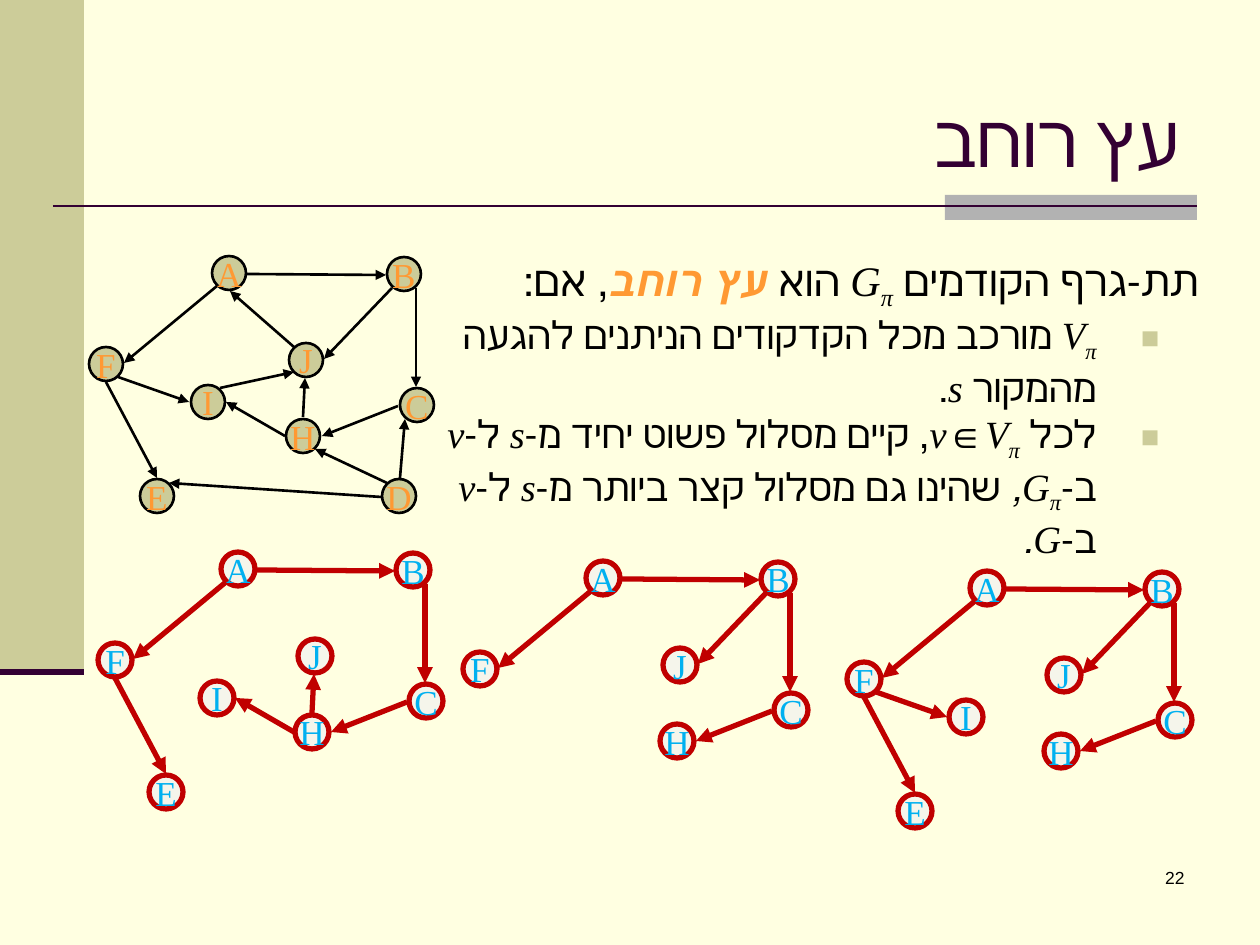
from lxml.etree import SubElement
from pptx import Presentation
from pptx.dml.color import RGBColor
from pptx.enum.shapes import MSO_CONNECTOR as Conn, MSO_SHAPE as Shape
from pptx.enum.text import MSO_ANCHOR as Anchor, MSO_AUTO_SIZE as Fit, PP_ALIGN as Align
from pptx.oxml.ns import qn
from pptx.util import Emu, Inches, Pt

SCALE = Inches(1) / 126
SERIF = "Times New Roman"
BLACK, PLUM, SAND, ORANGE = "000000", "330033", "CCCC99", "FF9933"

SIZE = 34
NODES = {
    "I": (-21, 129), "J": (77, 87), "H": (74, 163), "C": (188, 132), "F": (-123, 91),
    "A": (0, 0), "B": (175, 1), "E": (-72, 223), "D": (170, 223),
}
EDGES = {
    "AF": (5, 30, -88, 107), "AB": (35, 18, 174, 19), "BJ": (180, 32, 112, 103),
    "FE": (-106, 126, -55, 222), "FI": (-94, 121, -23, 146), "IJ": (8, 132, 82, 116),
    "HI": (73, 180, 14, 146), "CH": (186, 150, 110, 180), "DC": (188, 222, 193, 163),
    "HJ": (91, 161, 93, 122), "JA": (82, 91, 18, 35), "DE": (169, 241, -43, 227),
    "BC": (204, 32, 204, 131), "DH": (175, 227, 103, 193),
}
FULL = (SAND, BLACK, 1.5, ORANGE)
TREE = ("F5F5EB", "C00000", 3, "00B0F0")
GRAPHS = [
    (221, 552, TREE, "IJHCFABE", "AF AB FE HI HJ BC CH"),
    (586, 561, TREE, "JHCFAB", "AF AB BJ CH BC"),
    (212, 256, FULL, NODES, " ".join(EDGES)),
    (970, 571, TREE, "IJHCFABE", "AF AB BJ FE FI CH BC"),
]

INTRO = [("תת-גרף הקודמים ", ""), ("G", "i"), ("π", "is"), (" הוא ", ""),
         ("עץ רוחב", "bi"), (", אם:", "")]
POINTS = [
    [("V", "i"), ("π", "is"), (" מורכב מכל הקדקודים הניתנים להגעה מהמקור ", ""),
     ("s", "i"), (".", "")],
    [("לכל ", ""), ("v", "i"), ("∈", ""), ("V", "i"), ("π", "is"),
     (", קיים מסלול פשוט יחיד מ-", ""), ("s", "i"), (" ל-", ""), ("v", "i"),
     (" ב-", ""), ("G", "i"), ("π", "is"), (", ", "i"),
     ("שהינו גם מסלול קצר ביותר מ-", ""), ("s", "i"), (" ל-", ""), ("v", "i"),
     (" ב-", ""), ("G.", "i")],
]


def rgb(code):
    return RGBColor.from_string(code)


def px(*nums):
    return [Emu(round(n * SCALE)) for n in nums]


class Deck:
    def __init__(self):
        self.prs = Presentation()
        self.prs.slide_width, self.prs.slide_height = px(1260, 945)
        self.slide = self.prs.slides.add_slide(self.prs.slide_layouts[5])
        self.home = self.slide.shapes

    def back(self, color):
        fill = self.slide.background.fill
        fill.solid()
        fill.fore_color.rgb = rgb(color)

    def font(self, run, size, color, name=SERIF):
        run.font.size, run.font.name = Pt(size), name
        run.font.color.rgb = rgb(color)

    def right(self, para):
        para.alignment = Align.RIGHT
        props = para._p.get_or_add_pPr()
        props.set("rtl", "1")
        return props

    def title(self, text, *box):
        shape = self.home.title
        shape.left, shape.top, shape.width, shape.height = px(*box)
        frame = shape.text_frame
        frame.text = text
        frame.vertical_anchor = Anchor.MIDDLE
        self.right(frame.paragraphs[0])
        self.font(frame.paragraphs[0].runs[0], 42, PLUM)

    def shape(self, kind, box, color):
        item = self.home.add_shape(kind, *px(*box))
        item.shadow.inherit = False
        item.fill.solid()
        item.fill.fore_color.rgb = rgb(color)
        item.line.fill.background()
        return item

    def line(self, ends, color, width, arrow=False):
        item = self.home.add_connector(Conn.STRAIGHT, *px(*ends))
        item.line.color.rgb, item.line.width = rgb(color), Pt(width)
        if arrow:
            SubElement(item.line._get_or_add_ln(), qn("a:tailEnd"), type="triangle")
        SubElement(item._element.spPr, qn("a:effectLst"))

    def node(self, name, x, y, style):
        fill, edge, width, ink = style
        item = self.shape(Shape.OVAL, (x, y, SIZE, SIZE), fill)
        item.line.color.rgb, item.line.width = rgb(edge), Pt(width)
        frame = item.text_frame
        frame.margin_left = frame.margin_right = frame.margin_top = frame.margin_bottom = 0
        frame.word_wrap, frame.vertical_anchor = False, Anchor.MIDDLE
        frame.text = name
        frame.paragraphs[0].alignment = Align.CENTER
        self.font(frame.paragraphs[0].runs[0], 20, ink)

    def graph(self, x, y, style, names, pairs):
        page, self.home = self.home, self.home.add_group_shape().shapes
        for name in names:
            dx, dy = NODES[name]
            self.node(name, x + dx, y + dy, style)
        for pair in pairs.split():
            x1, y1, x2, y2 = EDGES[pair]
            self.line((x + x1, y + y1, x + x2, y + y2), style[1], style[2], True)
        self.home = page

    def number(self, text, *box):
        frame = self.home.add_textbox(*px(*box)).text_frame
        frame.word_wrap = True
        frame.text = text
        frame.paragraphs[0].alignment = Align.RIGHT
        self.font(frame.paragraphs[0].runs[0], 10, BLACK, "Arial")

    def fill(self, para, parts, size):
        for text, marks in parts:
            run = para.add_run()
            run.text = text
            self.font(run, size, ORANGE if "b" in marks else BLACK)
            run.font.bold, run.font.italic = "b" in marks, "i" in marks
            if "s" in marks:
                run.font._element.set("baseline", "-25000")

    def body(self, intro, points, *box):
        frame = self.home.add_textbox(*px(*box)).text_frame
        frame.word_wrap, frame.auto_size = True, Fit.SHAPE_TO_FIT_TEXT
        self.right(frame.paragraphs[0])
        self.fill(frame.paragraphs[0], intro, 24)
        for parts in points:
            para = frame.add_paragraph()
            para.level = 1
            props = self.right(para)
            inset, hang = px(102, -63)
            props.set("marL", str(inset))
            props.set("indent", str(hang))
            tint = SubElement(props, qn("a:buClr"))
            SubElement(tint, qn("a:srgbClr"), val=SAND)
            SubElement(props, qn("a:buSzPct"), val="80000")
            SubElement(props, qn("a:buFont"), typeface="Arial")
            SubElement(props, qn("a:buChar"), char="■")
            self.fill(para, parts, 22)


def main():
    deck = Deck()
    deck.back("FFFFE1")
    deck.shape(Shape.RECTANGLE, (0, 0, 84, 672), SAND)
    deck.shape(Shape.RECTANGLE, (945, 195, 252, 25), "B2B2B2")
    deck.line((53, 206, 1197, 206), PLUM, 1.5)
    deck.line((0, 672, 84, 672), PLUM, 3.5)
    deck.number("22", 935, 861, 262, 63)
    deck.body(INTRO, POINTS, 403, 248, 808, 255)
    deck.title("עץ רוחב", 147, 59, 1045, 158)
    for graph in GRAPHS:
        deck.graph(*graph)
    deck.prs.save("out.pptx")


if __name__ == "__main__":
    main()
